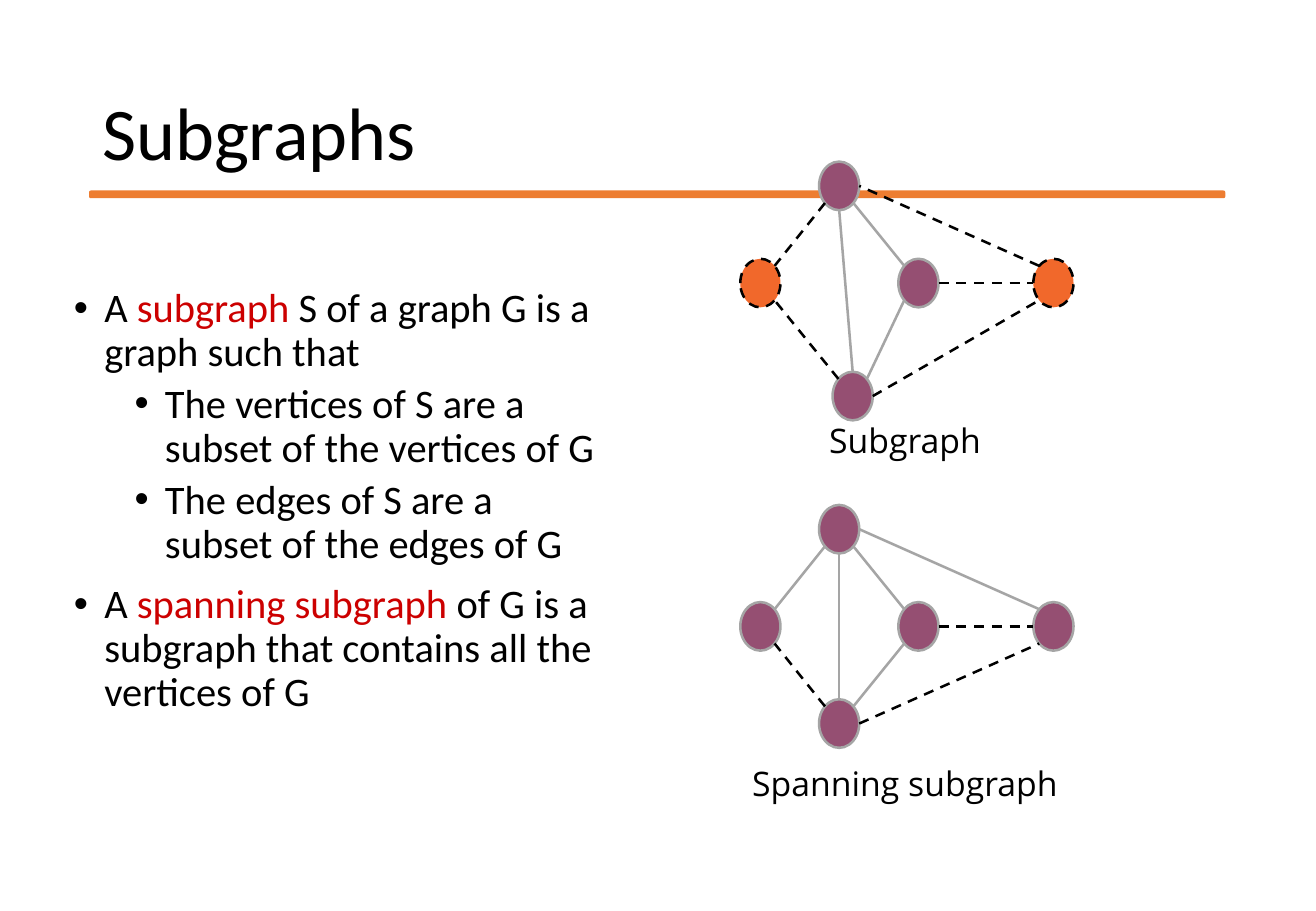
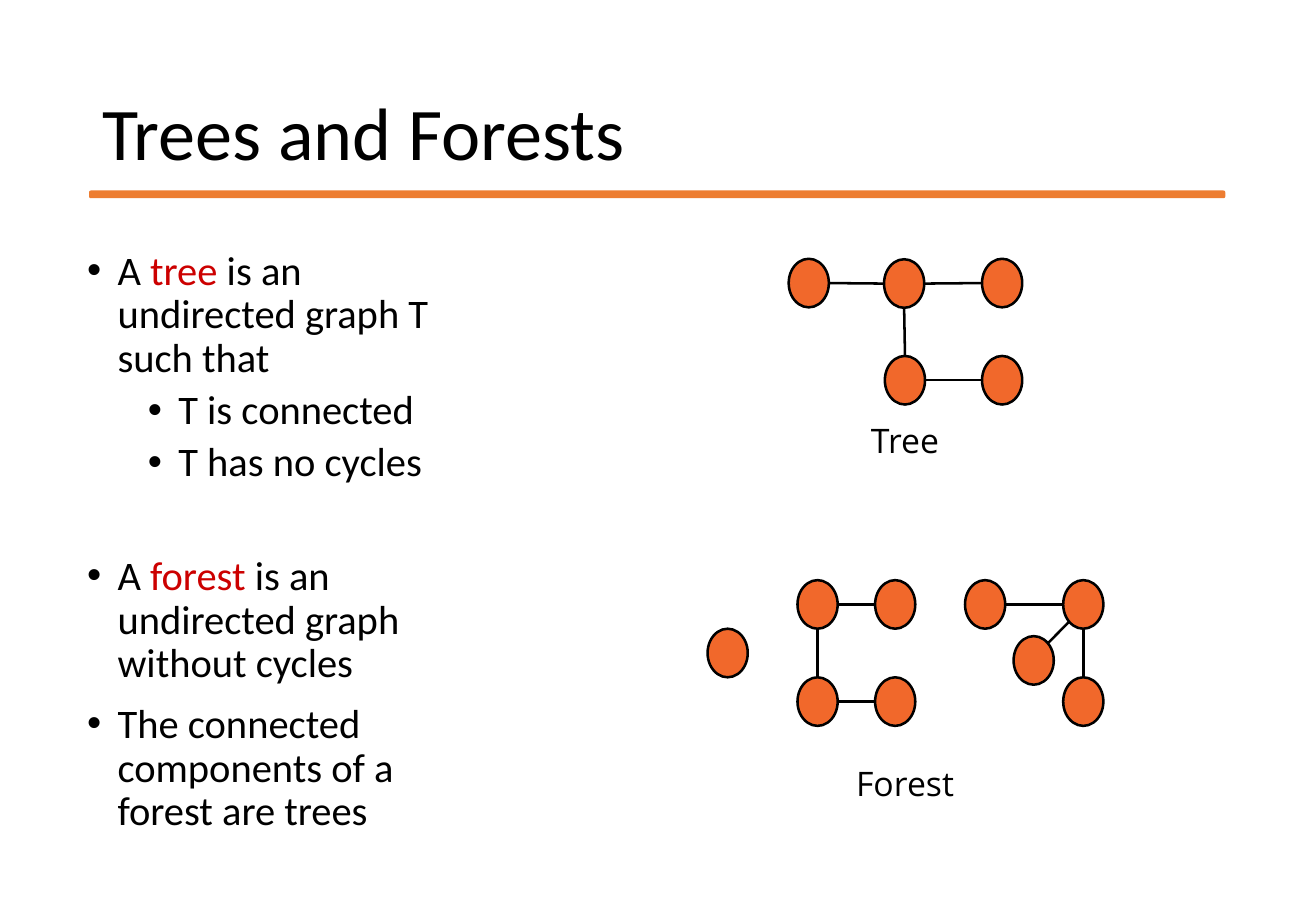
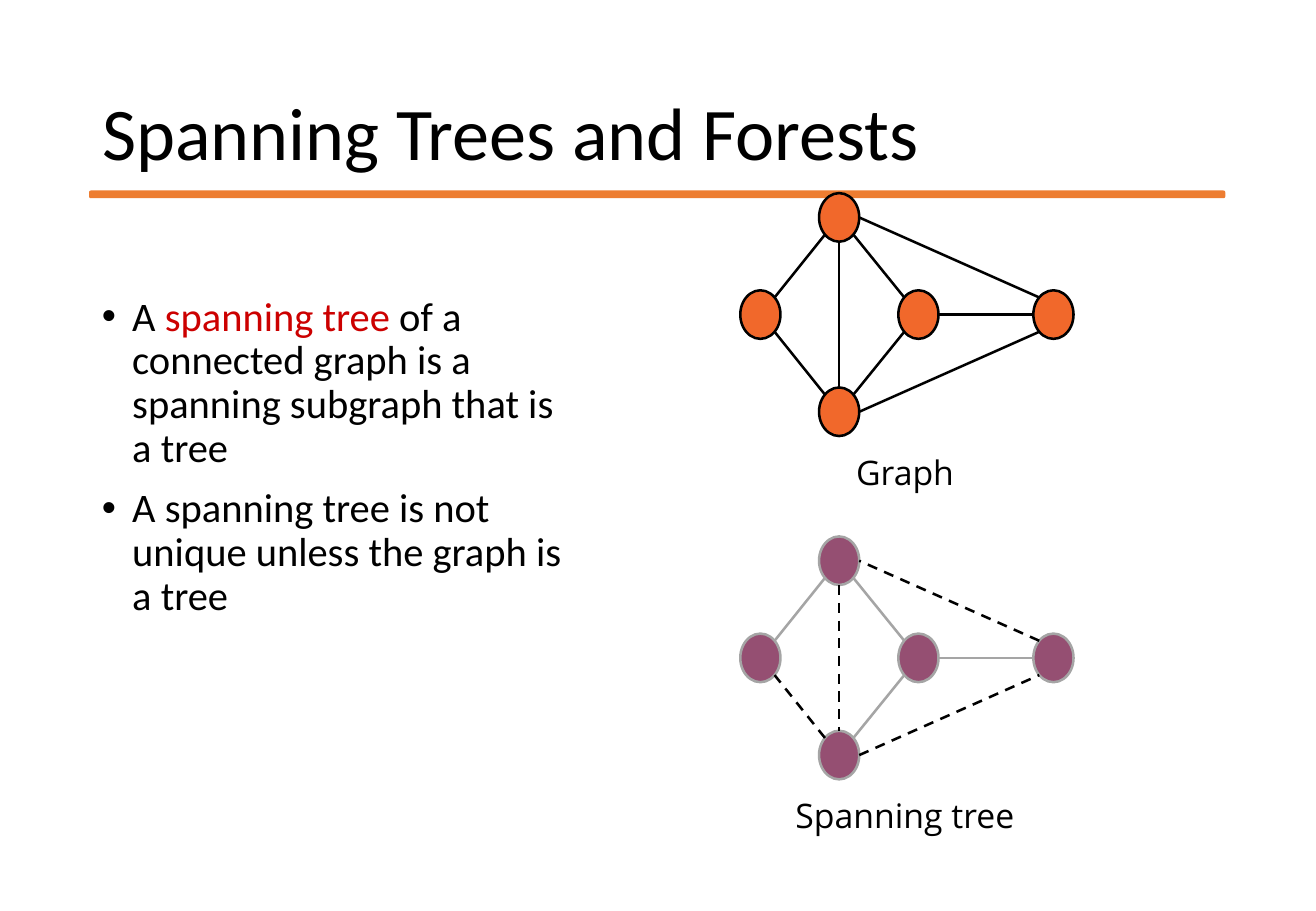
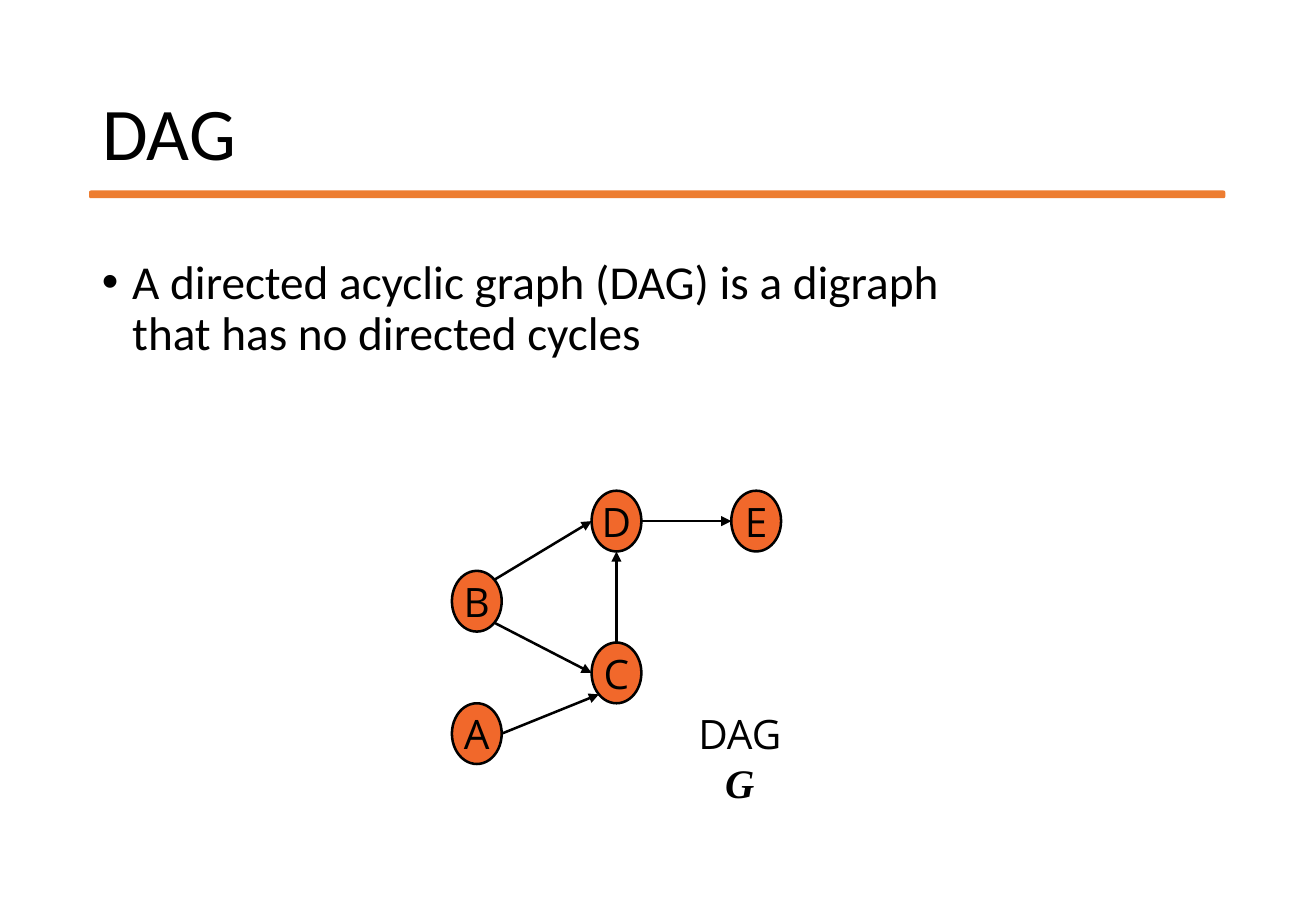
from math import cos, radians, sin

from lxml.etree import SubElement
from pptx import Presentation
from pptx.dml.color import RGBColor
from pptx.enum.dml import MSO_LINE
from pptx.enum.shapes import MSO_CONNECTOR, MSO_SHAPE
from pptx.enum.text import MSO_ANCHOR, MSO_AUTO_SIZE, PP_ALIGN
from pptx.oxml.ns import qn
from pptx.util import Pt

BLACK = RGBColor(0x00, 0x00, 0x00)
RED = RGBColor(0xCC, 0x00, 0x00)
ORANGE = RGBColor(0xF1, 0x68, 0x2B)
BAND = RGBColor(0xED, 0x7D, 0x31)
PURPLE = RGBColor(0x95, 0x4F, 0x72)
GRAY = RGBColor(0xA5, 0xA5, 0xA5)

BODY_FONT = "Calibri"
LABEL_FONT = "Open Sans"
MATH_FONT = "Times New Roman"

PLAIN = (ORANGE, BLACK, None)
KEPT = (PURPLE, GRAY, None)
LEFT_OUT = (ORANGE, BLACK, MSO_LINE.DASH)

T, TL, L, BL, B, BR, R, TR = range(8)

PANEL_LEFT, PANEL_WIDTH = 419.4, 234
CAPTION_DROP, PANEL_STEP = 149.5, 203.5
SMALL_NODE, LARGE_NODE = (23.8, 28.8), (29.5, 36)

KITE_NODES = {"top": (78, 14.4), "left": (31.3, 72), "middle": (125, 72),
              "right": (205, 72), "bottom": (78, 129.6)}
KITE_EDGES = {"top left": (BL, TR), "bottom left": (TL, BR),
              "bottom middle": (TR, BL), "top middle": (BR, TL),
              "top bottom": (B, T), "middle right": (R, L),
              "bottom right": (R, BL), "right top": (TL, R)}
TREE_NODES = {"a": (60, 72), "b": (116.5, 72.3), "c": (174.6, 72),
              "d": (117, 129.6), "e": (174.6, 129.6)}
TREE_EDGES = {"a b": (R, L), "b c": (R, L), "b d": (B, T), "d e": (R, L)}
FOREST_NODES = {"lone": (11.9, 87.8),
                "a": (65.2, 59), "b": (111.2, 59),
                "c": (65.2, 116.6), "d": (111.2, 116.6),
                "e": (164.5, 59), "f": (222.7, 59),
                "g": (222.7, 116.6), "h": (193.3, 92.2)}
FOREST_EDGES = {"a b": (R, L), "a c": (B, T), "c d": (R, L),
                "e f": (R, L), "f g": (B, T), "h f": (TR, BL)}
DAG_NODES = {"B": (14.8, 65.5), "A": (14.8, 144), "D": (97.6, 18),
             "C": (97.6, 108), "E": (180.4, 18)}
DAG_EDGES = {"B D": (TR, L), "B C": (BR, L), "D E": (R, L),
             "C D": (T, B), "A C": (R, BL)}


def add_run(p, text, size, font, color=BLACK):
    r = p.add_run()
    r.text = text
    r.font.size = Pt(size)
    r.font.name = font
    r.font.color.rgb = color
    return r


def outline(line, color, dash, width=1.5):
    line.color.rgb = color
    line.width = Pt(width)
    if dash:
        line.dash_style = dash


def add_text_box(s, left, top, width, height):
    tf = s.shapes.add_textbox(Pt(left), Pt(top), Pt(width), Pt(height)).text_frame
    tf.word_wrap = True
    return tf


def add_band(s, left, top, width, height):
    band = s.shapes.add_shape(MSO_SHAPE.ROUNDED_RECTANGLE,
                              Pt(left), Pt(top), Pt(width), Pt(height))
    band.shadow.inherit = False
    band.fill.solid()
    band.fill.fore_color.rgb = BAND
    outline(band.line, BAND, None, 1)
    band.element.xpath(".//p:cNvPr")[0].set("id", "20")
    s.slide_layout.shapes.element.insert(2, band.element)


def add_title_slide(prs, title):
    s = prs.slides.add_slide(prs.slide_layouts[5])
    sp = s.shapes.title
    sp.left, sp.top, sp.width, sp.height = Pt(53.3), Pt(28.8), Pt(672.5), Pt(104.4)
    tf = sp.text_frame
    tf.auto_size = MSO_AUTO_SIZE.NONE
    tf.vertical_anchor = MSO_ANCHOR.MIDDLE
    p = tf.paragraphs[0]
    p.alignment = PP_ALIGN.LEFT
    p.line_spacing = 0.9
    add_run(p, title, 44, BODY_FONT)
    return s


def add_bullets(s, left, top, width, height, items, size=24):
    tf = add_text_box(s, left, top, width, height)
    for i, (level, before, texts) in enumerate(items):
        p = tf.add_paragraph() if i else tf.paragraphs[0]
        p.level = level
        p.line_spacing = 0.9
        p.space_before = Pt(before)
        pPr = p._p.get_or_add_pPr()
        pPr.set("marL", str(Pt(18 + 36 * level)))
        pPr.set("indent", str(Pt(-18)))
        SubElement(pPr, qn("a:buFont")).set("typeface", "Arial")
        SubElement(pPr, qn("a:buChar")).set("char", "•")
        for j, text in enumerate(texts):
            add_run(p, text, size, BODY_FONT, RED if j % 2 else BLACK)


def add_node(s, x, y, size, look, label):
    fill, color, dash = look
    w, h = size
    sp = s.shapes.add_shape(MSO_SHAPE.OVAL, Pt(x - w / 2), Pt(y - h / 2), Pt(w), Pt(h))
    sp.shadow.inherit = False
    sp.fill.solid()
    sp.fill.fore_color.rgb = fill
    outline(sp.line, color, dash)
    if label:
        tf = sp.text_frame
        tf.word_wrap = False
        tf.vertical_anchor = MSO_ANCHOR.MIDDLE
        p = tf.paragraphs[0]
        p.alignment = PP_ALIGN.CENTER
        add_run(p, label, 24, LABEL_FONT)
    return sp


def site_point(sp, site):
    angle = radians(90 + 45 * site)
    return (round(sp.left + sp.width / 2 * (1 + cos(angle))),
            round(sp.top + sp.height / 2 * (1 - sin(angle))))


def add_edge(s, start, end, sites, look, arrow):
    c = s.shapes.add_connector(MSO_CONNECTOR.STRAIGHT,
                               *site_point(start, sites[0]), *site_point(end, sites[1]))
    outline(c.line, *look[1:])
    if arrow:
        SubElement(c.element.xpath(".//a:ln")[0], qn("a:tailEnd")).set("type", "triangle")
    SubElement(c.element.spPr, qn("a:effectLst"))
    ends = c.element.xpath(".//p:cNvCxnSpPr")[0]
    for tag, sp, site in zip(("a:stCxn", "a:endCxn"), (start, end), sites):
        glue = SubElement(ends, qn(tag))
        glue.set("id", str(sp.shape_id))
        glue.set("idx", str(site))


def add_graph(s, left, top, nodes, edges, look=PLAIN, out=(),
              size=SMALL_NODE, directed=False):
    ovals = {name: add_node(s, left + x, top + y, size,
                            LEFT_OUT if name in out else look,
                            name if directed else None)
             for name, (x, y) in nodes.items()}
    for key, sites in edges.items():
        a, b = key.split()
        add_edge(s, ovals[a], ovals[b], sites, LEFT_OUT if key in out else look, directed)


def add_panel(s, top, caption, nodes, edges, look=PLAIN, out=()):
    add_graph(s, PANEL_LEFT, top, nodes, edges, look, out)
    tf = add_text_box(s, PANEL_LEFT, top + CAPTION_DROP, PANEL_WIDTH, 31)
    p = tf.paragraphs[0]
    p.alignment = PP_ALIGN.CENTER
    add_run(p, caption, 20, LABEL_FONT)


def add_dag(s, left, top):
    add_graph(s, left, top, DAG_NODES, DAG_EDGES, size=LARGE_NODE, directed=True)
    p = add_text_box(s, left + 127.5, top + 126, 86.4, 37).paragraphs[0]
    p.alignment = PP_ALIGN.CENTER
    add_run(p, "DAG ", 24, LABEL_FONT)
    r = add_run(p, "G", 24, MATH_FONT)
    r.font.bold = r.font.italic = True


def build_subgraphs(prs):
    s = add_title_slide(prs, "Subgraphs")
    add_band(s, 53.3, 113.4, 672.5, 3.6)
    add_bullets(s, 36.7, 167, 324.7, 293.8, [
        (0, 10, ["A ", "subgraph", " S of a graph G is a graph such that "]),
        (1, 5, ["The vertices of S are a subset of the vertices of G"]),
        (1, 5, ["The edges of S are a subset of the edges of G"]),
        (0, 10, ["A ", "spanning subgraph",
                 " of G is a subgraph that contains all the vertices of G"])])
    top = 95.8
    add_panel(s, top, "Subgraph", {**KITE_NODES, "bottom": (86, 139)}, KITE_EDGES, KEPT,
              {"left", "right", "top left", "bottom left", "middle right",
               "bottom right", "right top"})
    add_panel(s, top + PANEL_STEP, "Spanning subgraph", KITE_NODES, KITE_EDGES, KEPT,
              {"bottom left", "middle right", "bottom right"})


def build_trees(prs):
    s = add_title_slide(prs, "Trees and Forests")
    add_bullets(s, 44.6, 144.7, 248.4, 354.2, [
        (0, 10, ["A ", "tree ", "is an undirected graph T such that"]),
        (1, 5, ["T is connected"]),
        (1, 5, ["T has no cycles"]),
        (0, 41.4, ["A ", "forest", " is an undirected graph without cycles"]),
        (0, 10, ["The connected components of a forest are trees"])])
    top = 95.8
    add_panel(s, top, "Tree", TREE_NODES, TREE_EDGES)
    add_panel(s, top + PANEL_STEP, "Forest", FOREST_NODES, FOREST_EDGES)


def build_spanning_trees(prs):
    s = add_title_slide(prs, "Spanning Trees and Forests")
    add_bullets(s, 53.3, 172, 287.3, 334, [
        (0, 10, ["A ", "spanning tree",
                 " of a connected graph is a spanning subgraph that is a tree"]),
        (0, 10, ["A spanning tree is not unique unless the graph is a tree"])])
    top = 114.5
    add_panel(s, top, "Graph", KITE_NODES, KITE_EDGES)
    add_panel(s, top + PANEL_STEP, "Spanning tree", KITE_NODES, KITE_EDGES, KEPT,
              {"bottom left", "top bottom", "bottom right", "right top"})


def build_dag(prs):
    s = add_title_slide(prs, "DAG")
    add_bullets(s, 53.3, 149.8, 526.3, 380, [
        (0, 10, ["A directed acyclic graph (DAG) is a digraph "
                 "that has no directed cycles"])], 28)
    add_dag(s, 267.8, 290.9)


prs = Presentation()
prs.slide_width, prs.slide_height = Pt(780), Pt(540)
for build in (build_subgraphs, build_trees, build_spanning_trees, build_dag):
    build(prs)
prs.save("out.pptx")
